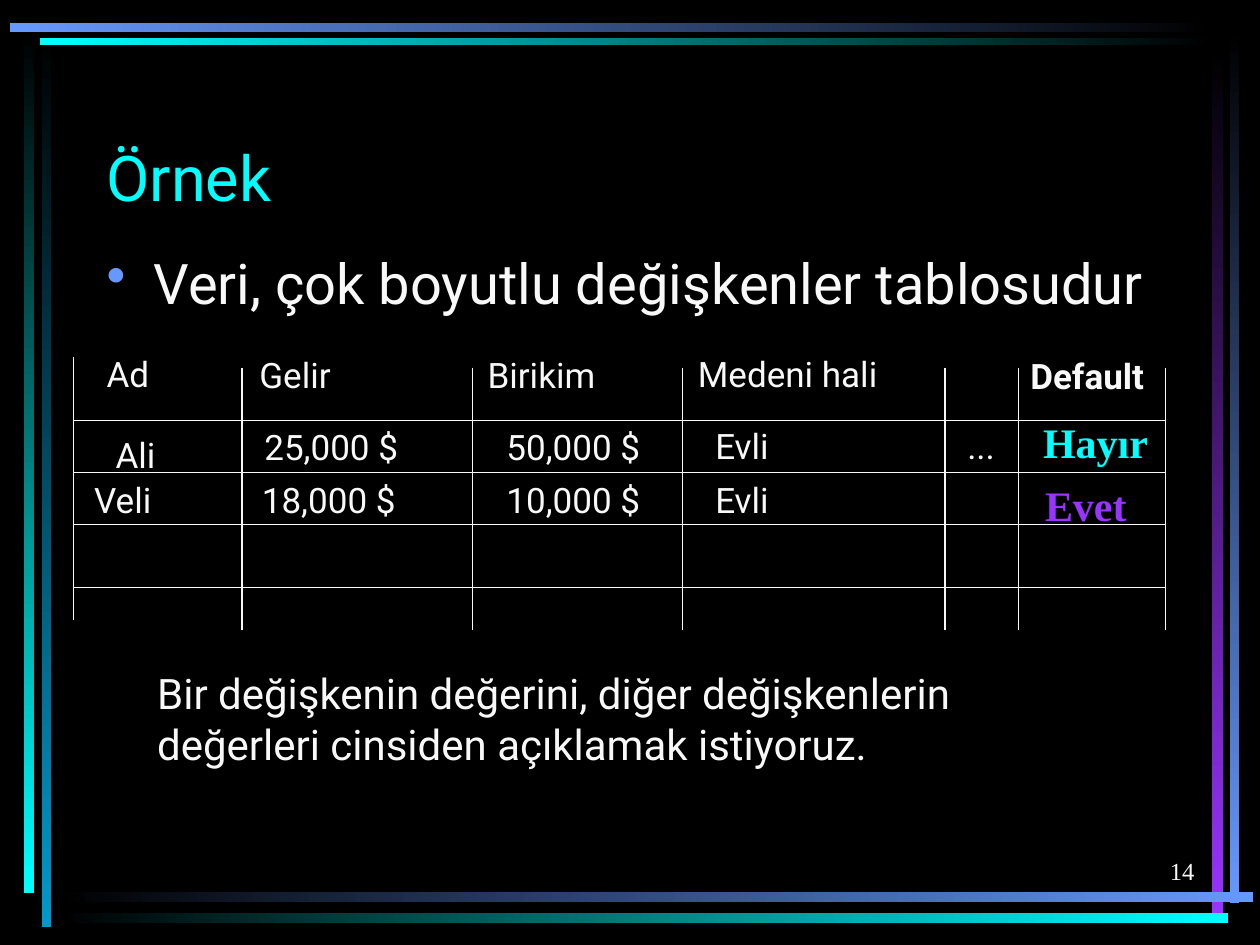
from lxml import etree
from pptx import Presentation
from pptx.dml.color import RGBColor
from pptx.enum.shapes import MSO_CONNECTOR, MSO_SHAPE
from pptx.enum.text import MSO_ANCHOR, PP_ALIGN
from pptx.oxml.ns import qn
from pptx.util import Cm, Pt

RECTANGLE = MSO_SHAPE.RECTANGLE
STRAIGHT = MSO_CONNECTOR.STRAIGHT
TOP, MIDDLE, BOTTOM = MSO_ANCHOR.TOP, MSO_ANCHOR.MIDDLE, MSO_ANCHOR.BOTTOM
LEFT, CENTER, RIGHT = PP_ALIGN.LEFT, PP_ALIGN.CENTER, PP_ALIGN.RIGHT

BLACK = RGBColor(0x00, 0x00, 0x00)
WHITE = RGBColor(0xF8, 0xF8, 0xF8)
CYAN = RGBColor(0x00, 0xFF, 0xFF)
TEAL = RGBColor(0x00, 0x99, 0xCC)
BLUE = RGBColor(0x66, 0x99, 0xFF)
PURPLE = RGBColor(0x99, 0x33, 0xFF)

SANS = "Roboto"
SERIF = "Times New Roman"

DOWNWARD, RIGHTWARD = 270, 0
FRAME_BARS = [
    (0.84, 0.71, 0.2, 17.98, BLACK, TEAL),
    (0.48, 0.64, 0.2, 17.37, BLACK, CYAN),
    (24.79, 0.61, 0.18, 17.6, BLACK, BLUE),
    (24.43, 1.07, 0.23, 17.35, BLACK, PURPLE),
    (1.14, 17.98, 24.13, 0.2, BLACK, BLUE),
    (1.14, 18.4, 23.62, 0.2, BLACK, CYAN),
    (0.81, 0.76, 23.67, 0.15, CYAN, BLACK),
    (0.2, 0.47, 24.28, 0.18, BLUE, BLACK),
]

TITLE = "Örnek"
BULLET_TEXT = "Veri, çok boyutlu değişkenler tablosudur"
CONCLUSION = (
    "Bir değişkenin değerini, diğer değişkenlerin "
    "değerleri cinsiden açıklamak istiyoruz."
)
PAGE_NUMBER = "14"

GRID_TOP, GRID_BOTTOM = 7.41, 12.7
FIRST_COLUMN_RISE = 0.21
COLUMN_LINES = [1.48, 4.88, 9.53, 13.76, 19.05, 20.53, 23.5]
ROW_LINES = [8.47, 9.53, 10.58, 11.85]

CELL_HEIGHT = 1.12
CELLS = [
    ("Ad", 1.9, 6.99, 2.54),
    ("Gelir", 4.98, 7.01, 2.08),
    ("Birikim", 9.58, 7.01, 2.84),
    ("Medeni hali", 13.82, 6.99, 4.37),
    ("Ali", 2.08, 8.62, 1.6),
    ("25,000 $", 5.08, 8.46, 3.48),
    ("50,000 $", 9.96, 8.46, 3.3),
    ("Evli", 14.17, 8.43, 2.11),
    ("...", 19.25, 8.43, 2.11),
    ("Veli", 1.65, 9.53, 1.96),
    ("18,000 $", 5.03, 9.53, 3.86),
    ("10,000 $", 9.96, 9.53, 4.01),
    ("Evli", 14.17, 9.53, 3.81),
]
CLASS_CELLS = [
    ("Hayır", 20.75, 8.26, 2.67, CYAN),
    ("Evet", 20.52, 9.53, 2.74, PURPLE),
]


def add_bar(slide, left, top, width, height, start, end):
    shape = slide.shapes.add_shape(
        RECTANGLE, Cm(left), Cm(top), Cm(width), Cm(height)
    )
    shape.shadow.inherit = False
    shape.line.fill.background()
    shape.fill.gradient()
    shape.fill.gradient_angle = DOWNWARD if height > width else RIGHTWARD
    for stop, color in zip(shape.fill.gradient_stops, (start, end)):
        stop.color.rgb = color


def add_line(slide, x1, y1, x2, y2):
    line = slide.shapes.add_connector(STRAIGHT, Cm(x1), Cm(y1), Cm(x2), Cm(y2))
    line.line.color.rgb = WHITE
    line.line.width = Pt(0.75)
    etree.SubElement(line._element.spPr, qn("a:effectLst"))


def add_bullet(paragraph):
    properties = paragraph._p.get_or_add_pPr()
    properties.set("marL", str(Cm(0.95)))
    properties.set("indent", str(Cm(-0.95)))
    bullet_color = etree.SubElement(properties, qn("a:buClr"))
    etree.SubElement(bullet_color, qn("a:srgbClr"), val=str(BLUE))
    etree.SubElement(properties, qn("a:buChar"), char="•")


def add_text(slide, text, left, top, width, height, size=20, font=SANS,
             color=WHITE, bold=False, anchor=TOP, align=LEFT, bullet=False):
    box = slide.shapes.add_textbox(Cm(left), Cm(top), Cm(width), Cm(height))
    frame = box.text_frame
    frame.word_wrap = True
    frame.vertical_anchor = anchor
    frame.text = text
    paragraph = frame.paragraphs[0]
    paragraph.alignment = align
    if bullet:
        add_bullet(paragraph)
    run_font = paragraph.runs[0].font
    run_font.name = font
    run_font.size = Pt(size)
    run_font.bold = bold
    run_font.color.rgb = color


def add_grid(slide):
    for index, x in enumerate(COLUMN_LINES):
        rise = FIRST_COLUMN_RISE if index == 0 else 0
        add_line(slide, x, GRID_TOP - rise, x, GRID_BOTTOM - rise)
    for y in ROW_LINES:
        add_line(slide, COLUMN_LINES[0], y, COLUMN_LINES[-1], y)


def main():
    presentation = Presentation()
    presentation.slide_width = Cm(25.4)
    presentation.slide_height = Cm(19.05)
    slide = presentation.slides.add_slide(presentation.slide_layouts[6])
    slide.background.fill.solid()
    slide.background.fill.fore_color.rgb = BLACK

    for bar in FRAME_BARS:
        add_bar(slide, *bar)
    add_text(slide, TITLE, 1.9, 1.7, 21.59, 2.74, size=36, color=CYAN,
             anchor=BOTTOM)
    add_text(slide, BULLET_TEXT, 1.9, 4.88, 21.59, 11.63, size=32, bullet=True)

    add_grid(slide)
    for cell in CELLS:
        add_text(slide, *cell, CELL_HEIGHT)
    add_text(slide, "Default", 20.52, 7.01, 3.38, CELL_HEIGHT, bold=True,
             anchor=MIDDLE)
    for text, left, top, width, color in CLASS_CELLS:
        add_text(slide, text, left, top, width, 1.27, size=24, font=SERIF,
                 color=color, bold=True, anchor=MIDDLE, align=CENTER)

    add_text(slide, CONCLUSION, 2.92, 13.34, 19.96, 2.29, size=24)
    add_text(slide, PAGE_NUMBER, 19.05, 16.71, 5.28, 1.27, size=14, font=SERIF,
             anchor=BOTTOM, align=RIGHT)
    presentation.save("out.pptx")


if __name__ == "__main__":
    main()
